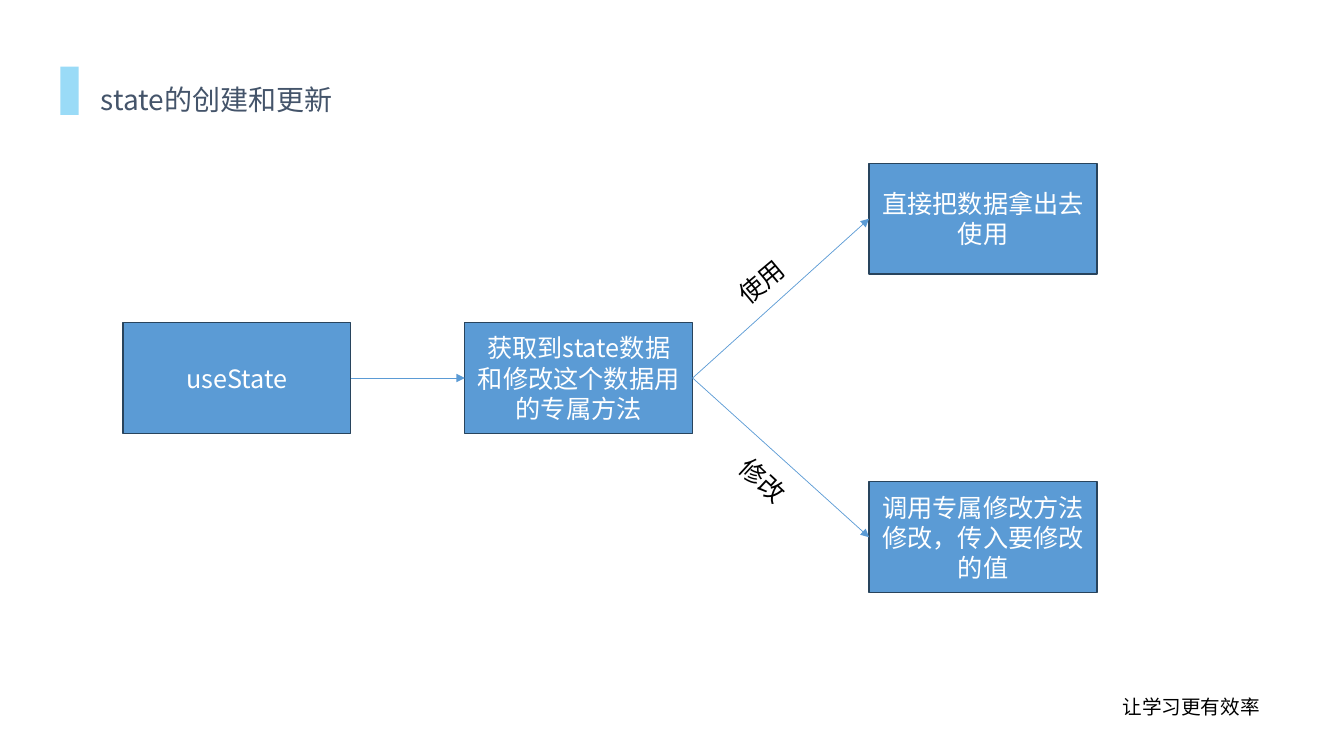
"""Build a slide showing how state is created and updated with useState."""
from lxml.etree import SubElement
from pptx import Presentation
from pptx.dml.color import RGBColor
from pptx.enum.shapes import MSO_CONNECTOR, MSO_SHAPE
from pptx.enum.text import MSO_ANCHOR, MSO_AUTO_SIZE, PP_ALIGN
from pptx.oxml.ns import qn
from pptx.util import Inches, Pt

FONT = "Noto Sans CJK SC"
COLORS = {
    "heading": "44546A", "accent": "9ADBF7", "step": "5B9BD5",
    "border": "28445D", "light": "FFFFFF", "dark": "000000",
}
HEADING = "state的创建和更新"
SLOGAN = ("让学习更有效率", (9.76, 6.84, 4.11, 0.34))
STEP_SIZE = (2.26, 1.1)
MIDDLE_TOP, BRANCH_RISE = 3.2, 1.58
STEPS = {
    "hook": ("useState", 1.22, 0),
    "result": ("获取到state数据和修改这个数据用的专属方法", 4.61, 0),
    "use": ("直接把数据拿出去使用", 8.62, -1),
    "modify": ("调用专属修改方法修改，传入要修改的值", 8.62, 1),
}
ARROWS = [("hook", "result"), ("result", "use"), ("result", "modify")]
BRANCH_LABELS = [
    ("使用", (7.18, 2.53, 0.91, 0.4), 320),
    ("修改", (7.19, 4.64, 0.91, 0.4), 42.7),
]


def rgb(name):
    return RGBColor.from_string(COLORS[name])


def write(shape, text, size, color, align=PP_ALIGN.LEFT, anchor=MSO_ANCHOR.TOP):
    frame = shape.text_frame
    frame.text = text
    frame.word_wrap = True
    frame.auto_size = MSO_AUTO_SIZE.NONE
    frame.vertical_anchor = anchor
    paragraph = frame.paragraphs[0]
    paragraph.alignment = align
    font = paragraph.runs[0].font
    font.name, font.size = FONT, Pt(size)
    font.color.rgb = rgb(color)
    SubElement(font._element, qn("a:ea"), typeface=FONT)


def add_label(slide, text, place, size, align=PP_ALIGN.LEFT):
    label = slide.shapes.add_textbox(*map(Inches, place))
    write(label, text, size, "dark", align)
    return label


def add_block(slide, place, fill):
    block = slide.shapes.add_shape(MSO_SHAPE.RECTANGLE, *map(Inches, place))
    block.shadow.inherit = False
    block.fill.solid()
    block.fill.fore_color.rgb = rgb(fill)
    block.line.fill.background()
    return block


def add_step(slide, text, left, branch):
    top = MIDDLE_TOP + branch * BRANCH_RISE
    step = add_block(slide, (left, top, *STEP_SIZE), "step")
    step.line.color.rgb = rgb("border")
    step.line.width = Pt(1)
    write(step, text, 18, "light", PP_ALIGN.CENTER, MSO_ANCHOR.MIDDLE)
    return step


def add_arrow(slide, source, target):
    arrow = slide.shapes.add_connector(MSO_CONNECTOR.STRAIGHT, 0, 0, 0, 0)
    arrow.begin_connect(source, 3)
    arrow.end_connect(target, 1)
    arrow.line.color.rgb = rgb("step")
    arrow.line.width = Pt(0.5)
    SubElement(arrow.line._get_or_add_ln(), qn("a:tailEnd"), type="triangle")
    SubElement(arrow._element.spPr, qn("a:effectLst"))


def main():
    deck = Presentation()
    deck.slide_width, deck.slide_height = Inches(13.33), Inches(7.5)
    slide = deck.slides.add_slide(deck.slide_layouts[5])

    heading = slide.shapes.title
    heading.left, heading.top = Inches(0.6), Inches(0.6)
    heading.width, heading.height = Inches(9.85), Inches(0.55)
    write(heading, HEADING, 20, "heading")
    heading.text_frame.margin_left = Inches(0.4)
    heading.text_frame.paragraphs[0].line_spacing = 1.5

    add_label(slide, *SLOGAN, 14, PP_ALIGN.CENTER)
    add_block(slide, (0.6, 0.66, 0.18, 0.48), "accent")
    steps = {key: add_step(slide, *step) for key, step in STEPS.items()}
    for source, target in ARROWS:
        add_arrow(slide, steps[source], steps[target])
    for text, place, angle in BRANCH_LABELS:
        add_label(slide, text, place, 18).rotation = angle

    deck.save("out.pptx")


if __name__ == "__main__":
    main()
